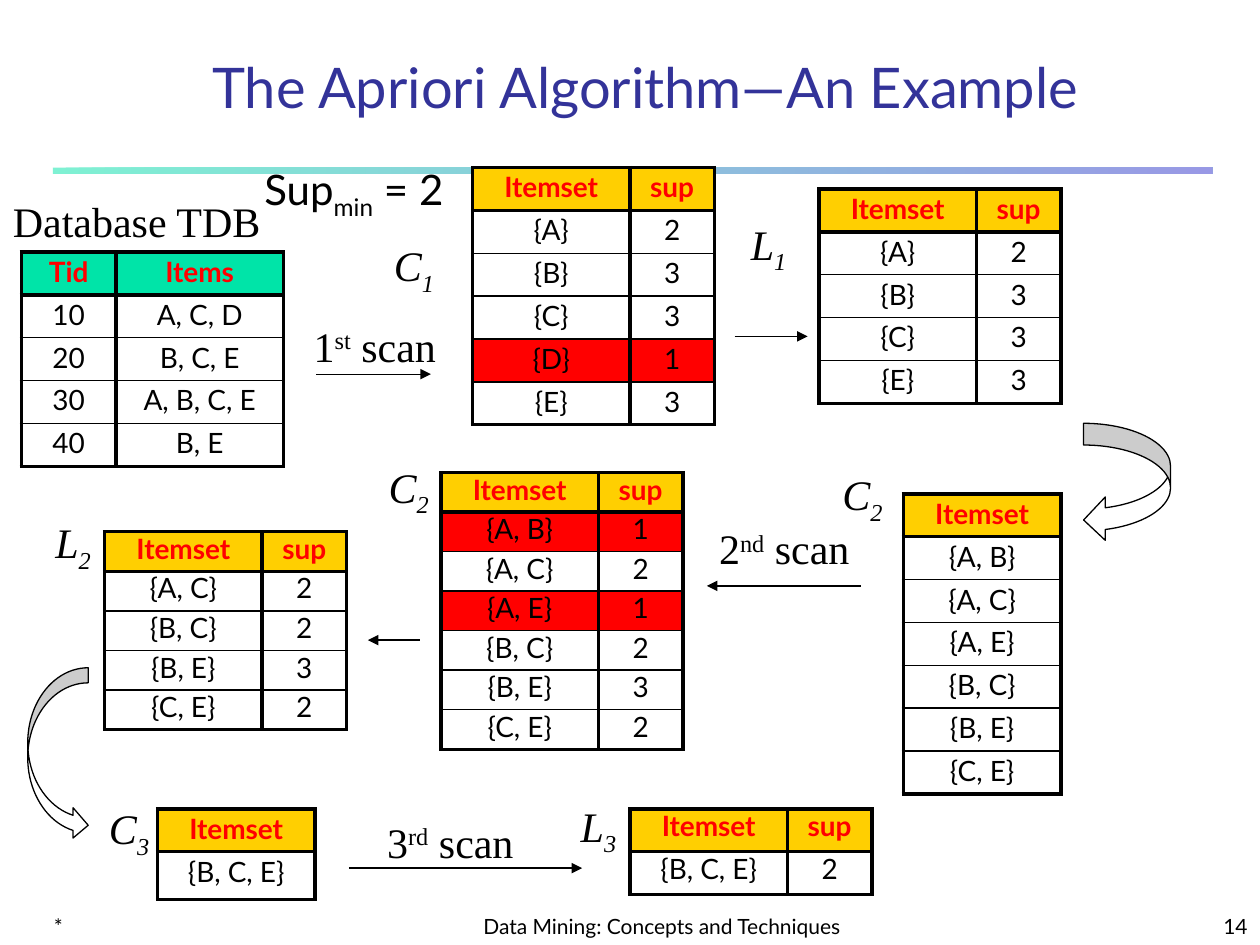
from lxml.etree import SubElement
from pptx import Presentation
from pptx.dml.color import RGBColor
from pptx.enum.shapes import MSO_CONNECTOR, MSO_SHAPE
from pptx.enum.text import MSO_ANCHOR, PP_ALIGN
from pptx.oxml import parse_xml
from pptx.oxml.ns import nsdecls, qn
from pptx.util import Inches, Pt

SERIF, SANS = "Times New Roman", "Lato"
BLACK, WHITE, RED, GOLD, GREEN = "000000", "FFFFFF", "FF0000", "FFCF01", "00E4A8"
LEFT, CENTER, RIGHT = PP_ALIGN.LEFT, PP_ALIGN.CENTER, PP_ALIGN.RIGHT
TOP, MIDDLE, BOTTOM = MSO_ANCHOR.TOP, MSO_ANCHOR.MIDDLE, MSO_ANCHOR.BOTTOM
MIN_SUP = 2
SUB, SUP = -25, 30
THICK, THIN = 2.25, 1

# Title, support threshold and footer: box, runs, size, colour, alignment, anchor
TEXTS = [
    ((0.92, 0.33, 8.52, 0.67), [("The Apriori Algorithm—An Example ", 0)], 32, "333399", CENTER, BOTTOM),
    ((2, 1.25, 1.92, 0.5), [("Sup", 0), ("min", SUB), (" = 2", 0)], 24, BLACK, LEFT, TOP),
    ((0.33, 7.08, 2.08, 0.42), [("*", 0)], 12, BLACK, LEFT, BOTTOM),
    ((3.67, 7.08, 3.17, 0.42), [("Data Mining: Concepts and Techniques", 0)], 12, BLACK, CENTER, BOTTOM),
    ((7.92, 7.08, 2.08, 0.42), [("14", 0)], 12, BLACK, RIGHT, BOTTOM),
]

# Set names: letter, index, left, top
SET_LABELS = [
    ("C", "1", 3.02, 1.88), ("L", "1", 5.85, 1.71), ("L", "2", 0.33, 4.08),
    ("C", "2", 2.98, 3.64), ("C", "2", 6.58, 3.7),
    ("C", "3", 0.76, 6.35), ("L", "3", 4.5, 6.33),
]

# Scan labels: number, ordinal ending, left, top, width
SCANS = [("1", "st", 2.38, 2.49, 1.19), ("2", "nd", 5.59, 4.1, 1.27), ("3", "rd", 2.96, 6.43, 1.23)]

# Straight arrows: from x, to x, y
ARROWS = [(2.51, 3.42, 2.97), (5.83, 6.41, 2.67), (6.83, 5.61, 4.65), (3.33, 2.92, 5.08), (2.77, 4.62, 6.89)]

CURVED_ARROWS = [
    (MSO_SHAPE.CURVED_LEFT_ARROW, (8.6, 3.36, 0.69, 0.94)),
    (MSO_SHAPE.CURVED_RIGHT_ARROW, (0.22, 5.3, 0.48, 1.37)),
]

# Tables: left, top, row heights, line spacing, inner rule, header colour, rows
COL_WIDTHS = {"Tid": 0.75, "Items": 1.33, "Itemset": 1.25, "sup": 0.67}
TABLES = [
    (0.17, 2, [0.34] * 5, 0.9, THIN, GREEN,
     [("Tid", "Items"), ("10", "A, C, D"), ("20", "B, C, E"), ("30", "A, B, C, E"), ("40", "B, E")]),
    (3.75, 1.33, [0.34] * 6, 0.9, THIN, GOLD,
     [("Itemset", "sup"), ("{A}", "2"), ("{B}", "3"), ("{C}", "3"), ("{D}", "1"), ("{E}", "3")]),
    (6.5, 1.5, [0.34] * 5, 0.9, THIN, GOLD,
     [("Itemset", "sup"), ("{A}", "2"), ("{B}", "3"), ("{C}", "3"), ("{E}", "3")]),
    (7.17, 3.92, [0.34] * 7, 0.9, THIN, GOLD,
     [("Itemset",), ("{A, B}",), ("{A, C}",), ("{A, E}",), ("{B, C}",), ("{B, E}",), ("{C, E}",)]),
    (3.5, 3.75, [0.31] * 7, 0.8, THIN, GOLD,
     [("Itemset", "sup"), ("{A, B}", "1"), ("{A, C}", "2"), ("{A, E}", "1"),
      ("{B, C}", "2"), ("{B, E}", "3"), ("{C, E}", "2")]),
    (0.83, 4.22, [0.31] * 5, 0.8, THIN, GOLD,
     [("Itemset", "sup"), ("{A, C}", "2"), ("{B, C}", "2"), ("{B, E}", "3"), ("{C, E}", "2")]),
    (1.25, 6.42, [0.34, 0.38], 0.9, THICK, GOLD, [("Itemset",), ("{B, C, E}",)]),
    (5, 6.42, [0.34, 0.34], 0.8, THICK, GOLD, [("Itemset", "sup"), ("{B, C, E}", "2")]),
]


def rgb(color):
    return RGBColor.from_string(color)


def inches(values):
    return [Inches(v) for v in values]


def style(font, name, size, color, bold=False, italic=False):
    font.name, font.size, font.bold, font.italic = name, Pt(size), bold, italic
    font.color.rgb = rgb(color)


def add_text(s, box, runs, name=SERIF, size=24, color=BLACK, align=CENTER, anchor=MIDDLE, italic=False):
    tf = s.shapes.add_textbox(*inches(box)).text_frame
    tf.word_wrap, tf.vertical_anchor = True, anchor
    p = tf.paragraphs[0]
    p.alignment = align
    for text, baseline in runs:
        r = p.add_run()
        r.text = text
        style(r.font, name, size, color, italic=italic)
        if baseline:
            r.font._element.set("baseline", str(baseline * 1000))


def add_bar(s):
    sp = s.shapes.add_shape(MSO_SHAPE.RECTANGLE, *inches((0.42, 1.33, 9.2, 0.05)))
    sp.shadow.inherit = False
    sp.line.fill.background()
    sp.fill.gradient()
    sp.fill.gradient_angle = 0
    for stop, color in zip(sp.fill.gradient_stops, (GREEN, "3333CC")):
        stop.color.rgb = rgb(color)
        clr = stop.color._xFill.find(qn("a:srgbClr"))
        SubElement(clr, qn("a:alpha"), val="50000")


def add_arrow(s, x1, x2, y):
    line = s.shapes.add_connector(MSO_CONNECTOR.STRAIGHT, *inches((x1, y, x2, y)))
    line.line.color.rgb = rgb(BLACK)
    line.line.width = Pt(0.75)
    SubElement(line.line._get_or_add_ln(), qn("a:tailEnd"), type="triangle")
    SubElement(line._element.spPr, qn("a:effectLst"))


def add_curved_arrow(s, kind, box):
    sp = s.shapes.add_shape(kind, *inches(box))
    sp.shadow.inherit = False
    for i, value in enumerate((0.25, 0.5, 0.25)):
        sp.adjustments[i] = value
    sp.fill.solid()
    sp.fill.fore_color.rgb = rgb(WHITE)
    sp.line.color.rgb = rgb(BLACK)
    sp.line.width = Pt(0.75)


def set_borders(cell, top, bottom):
    tcPr = cell._tc.get_or_add_tcPr()
    for i, (side, width) in enumerate((("L", THICK), ("R", THICK), ("T", top), ("B", bottom))):
        tcPr.insert(i, parse_xml(
            f'<a:ln{side} {nsdecls("a")} w="{Pt(width)}"><a:solidFill>'
            f'<a:srgbClr val="{BLACK}"/></a:solidFill></a:ln{side}>'))


def add_table(s, left, top, heights, spacing, inner, head_color, rows):
    widths = [COL_WIDTHS[name] for name in rows[0]]
    box = inches((left, top, sum(widths), sum(heights)))
    table = s.shapes.add_table(len(rows), len(widths), *box).table
    table.first_row = table.horz_banding = False
    for col, width in zip(table.columns, widths):
        col.width = Inches(width)
    for i, (values, height) in enumerate(zip(rows, heights)):
        table.rows[i].height = Inches(height)
        head = i == 0
        infrequent = not head and rows[0][-1] == "sup" and int(values[-1]) < MIN_SUP
        fill = head_color if head else RED if infrequent else None
        for j, value in enumerate(values):
            cell = table.cell(i, j)
            cell.text = value
            p = cell.text_frame.paragraphs[0]
            p.alignment, p.line_spacing = CENTER, spacing
            style(p.runs[0].font, SANS, 16, RED if head else BLACK, bold=head)
            if fill:
                cell.fill.solid()
                cell.fill.fore_color.rgb = rgb(fill)
            else:
                cell.fill.background()
            set_borders(cell, THICK if i < 2 else inner,
                        THICK if head or i == len(rows) - 1 else inner)


def main():
    prs = Presentation()
    prs.slide_width, prs.slide_height = Inches(10), Inches(7.5)
    s = prs.slides.add_slide(prs.slide_layouts[6])

    add_bar(s)
    for box, runs, size, color, align, anchor in TEXTS:
        add_text(s, box, runs, SANS, size, color, align, anchor)

    # Labels
    add_text(s, (0, 1.5, 2.17, 0.5), [("Database TDB", 0)])
    for letter, index, left, top in SET_LABELS:
        width = 0.53 if letter == "C" else 0.5
        add_text(s, (left, top, width, 0.5), [(letter, 0), (index, SUB)], italic=True)
    for number, ending, left, top, width in SCANS:
        add_text(s, (left, top, width, 0.5), [(number, 0), (ending, SUP), (" scan", 0)])

    # Flow between the tables
    for arrow in ARROWS:
        add_arrow(s, *arrow)
    for arrow in CURVED_ARROWS:
        add_curved_arrow(s, *arrow)

    for table in TABLES:
        add_table(s, *table)
    prs.save("out.pptx")


if __name__ == "__main__":
    main()
